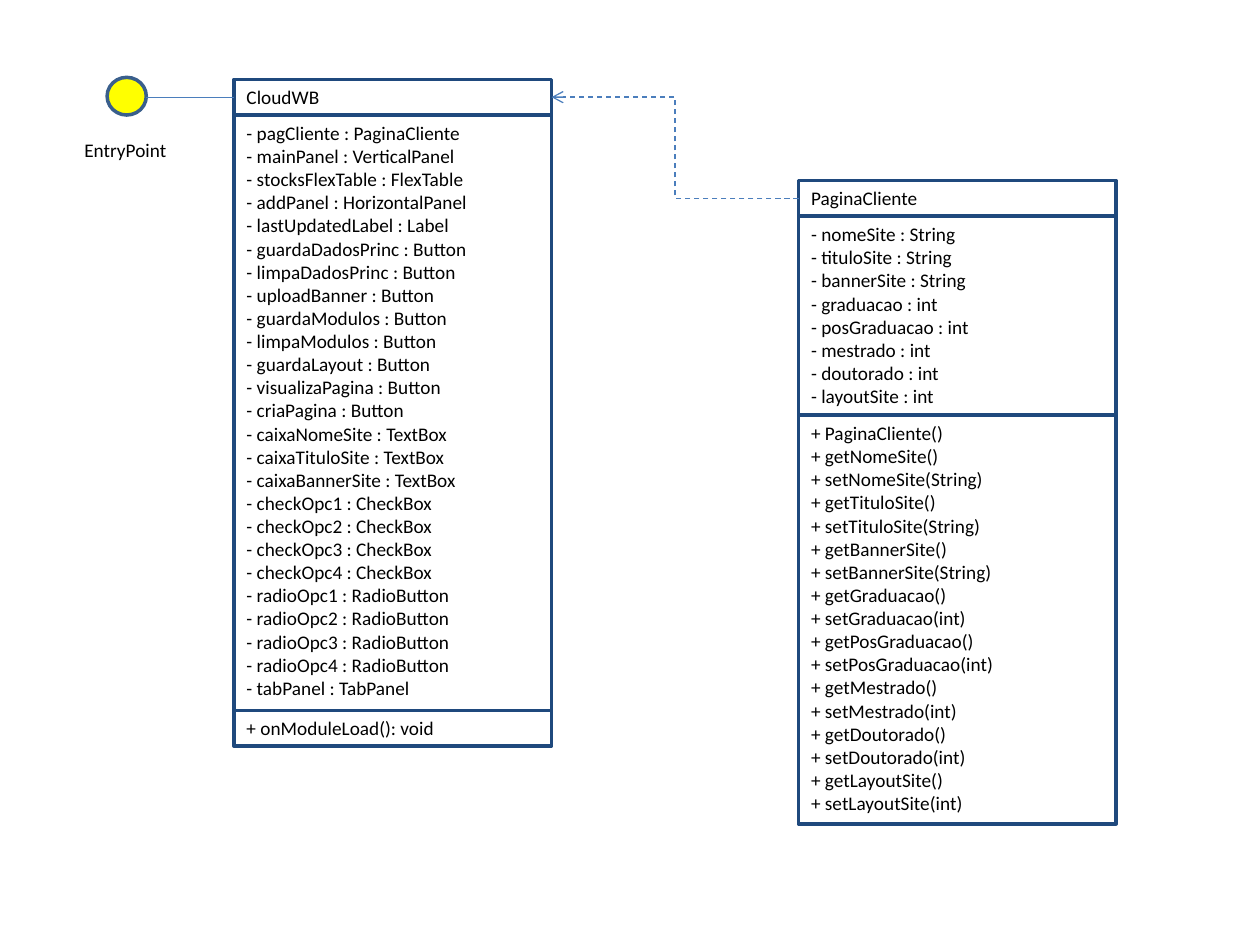
from dataclasses import dataclass
from lxml.etree import SubElement
from pptx import Presentation
from pptx.dml.color import RGBColor as Rgb
from pptx.enum.dml import MSO_LINE as Dash
from pptx.enum.shapes import MSO_CONNECTOR as Link, MSO_SHAPE as Kind
from pptx.enum.text import MSO_ANCHOR as Anchor, MSO_AUTO_SIZE as Fit, PP_ALIGN as Align
from pptx.oxml.ns import qn
from pptx.util import Cm, Pt

CLASSES = [
    {
        "name": "CloudWB",
        "at": (4.72, 1.6),
        "fields": [
            ("pagCliente", "PaginaCliente"),
            ("mainPanel", "VerticalPanel"),
            ("stocksFlexTable", "FlexTable"),
            ("addPanel", "HorizontalPanel"),
            ("lastUpdatedLabel", "Label"),
            ("guardaDadosPrinc", "Button"),
            ("limpaDadosPrinc", "Button"),
            ("uploadBanner", "Button"),
            ("guardaModulos", "Button"),
            ("limpaModulos", "Button"),
            ("guardaLayout", "Button"),
            ("visualizaPagina", "Button"),
            ("criaPagina", "Button"),
            ("caixaNomeSite", "TextBox"),
            ("caixaTituloSite", "TextBox"),
            ("caixaBannerSite", "TextBox"),
            ("checkOpc1", "CheckBox"),
            ("checkOpc2", "CheckBox"),
            ("checkOpc3", "CheckBox"),
            ("checkOpc4", "CheckBox"),
            ("radioOpc1", "RadioButton"),
            ("radioOpc2", "RadioButton"),
            ("radioOpc3", "RadioButton"),
            ("radioOpc4", "RadioButton"),
            ("tabPanel", "TabPanel"),
        ],
        "methods": ["onModuleLoad(): void"],
    },
    {
        "name": "PaginaCliente",
        "at": (16.1, 3.64),
        "fields": [
            ("nomeSite", "String"),
            ("tituloSite", "String"),
            ("bannerSite", "String"),
            ("graduacao", "int"),
            ("posGraduacao", "int"),
            ("mestrado", "int"),
            ("doutorado", "int"),
            ("layoutSite", "int"),
        ],
        "methods": [
            "PaginaCliente()",
            "getNomeSite()",
            "setNomeSite(String)",
            "getTituloSite()",
            "setTituloSite(String)",
            "getBannerSite()",
            "setBannerSite(String)",
            "getGraduacao()",
            "setGraduacao(int)",
            "getPosGraduacao()",
            "setPosGraduacao(int)",
            "getMestrado()",
            "setMestrado(int)",
            "getDoutorado()",
            "setDoutorado(int)",
            "getLayoutSite()",
            "setLayoutSite(int)",
        ],
    },
]
ENTRY = "EntryPoint"
WIDTH, ROW, PAD = 6.4, 0.47, 0.25
BALL = (2.16, 1.56, 0.79, 0.76)
LABEL = (1.45, 2.67, 2.18, 0.72)


@dataclass(frozen=True)
class Theme:
    font: str = "Calibri"
    size: float = 11
    thick: float = 2
    thin: float = 0.75
    text: str = "000000"
    frame: str = "1F497D"
    wire: str = "4B7EBC"
    ball: str = "FFFF00"
    rim: str = "3A5F8C"


theme = Theme()


def color(code):
    return Rgb.from_string(code)


def stroke(item, code, width):
    item.line.color.rgb = color(code)
    item.line.width = Pt(width)


def write(item, text, wrap=True):
    frame = item.text_frame
    frame.text = text
    frame.word_wrap = wrap
    frame.auto_size = Fit.SHAPE_TO_FIT_TEXT
    frame.vertical_anchor = Anchor.TOP
    for para in frame.paragraphs:
        para.alignment = Align.LEFT
        for run in para.runs:
            run.font.name = theme.font
            run.font.size = Pt(theme.size)
            run.font.color.rgb = color(theme.text)


def shape(kind, box, code):
    item = shapes.add_shape(kind, *map(Cm, box))
    item.shadow.inherit = False
    item.fill.background()
    stroke(item, code, theme.thick)
    return item


def draw_class(spec):
    left, top = spec["at"]
    parts = [
        [spec["name"]],
        [f"- {name} : {kind}" for name, kind in spec["fields"]],
        [f"+ {method}" for method in spec["methods"]],
    ]
    boxes = []
    for rows in parts:
        height = len(rows) * ROW + PAD
        box = shape(Kind.RECTANGLE, (left, top, WIDTH, height), theme.frame)
        write(box, "\n".join(rows))
        boxes.append(box)
        top += height
    return boxes[0]


def connect(kind, start, end):
    wire = shapes.add_connector(kind, *start, *end)
    stroke(wire, theme.wire, theme.thin)
    SubElement(wire._element.spPr, qn("a:effectLst"))
    return wire


def side(box, right=False):
    return box.left + box.width * right, box.top + box.height // 2


deck = Presentation()
deck.slide_width, deck.slide_height = Cm(25.4), Cm(19.05)
shapes = deck.slides.add_slide(deck.slide_layouts[6]).shapes

cloud, page = map(draw_class, CLASSES)

ball = shape(Kind.OVAL, BALL, theme.rim)
ball.fill.solid()
ball.fill.fore_color.rgb = color(theme.ball)
write(shapes.add_textbox(*map(Cm, LABEL)), ENTRY, wrap=False)

end = side(cloud)
connect(Link.STRAIGHT, (ball.left + ball.width, end[1]), end)

usage = connect(Link.ELBOW, side(page), side(cloud, right=True))
usage.begin_connect(page, 1)
usage.end_connect(cloud, 3)
usage.line.dash_style = Dash.DASH
SubElement(usage.line._get_or_add_ln(), qn("a:tailEnd"), type="arrow")

deck.save("out.pptx")
